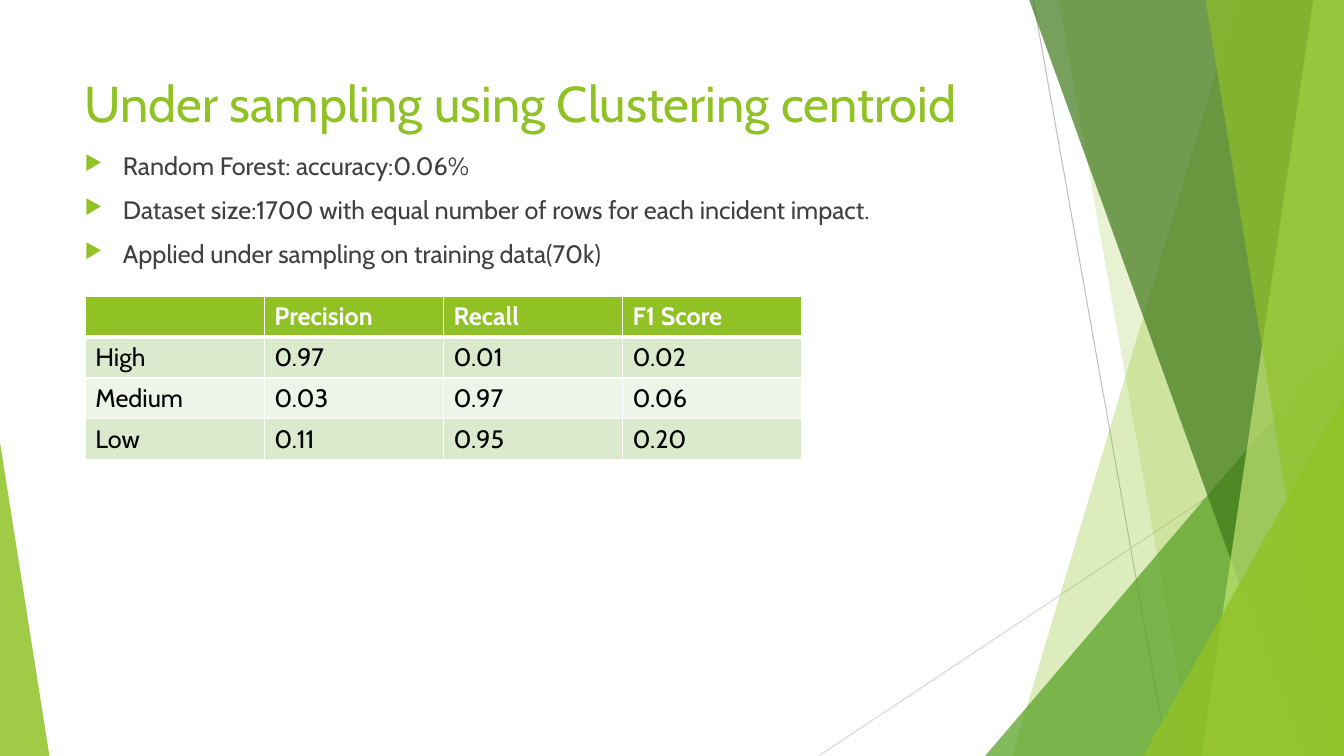
import pptx
import pptx.util
import pptx.dml.color
import pptx.enum.shapes
import pptx.enum.text
import pptx.oxml
import pptx.oxml.ns

GREEN, LEAF, FOREST, LIME = "90C226", "54A021", "3F7819", "C0E474"
WHITE, BLACK, GRAY = "FFFFFF", "000000", "404040"
HEAD, BAND, PALE = GREEN, "DBE9CD", "EEF4E8"


def rgb(color):
    return pptx.dml.color.RGBColor.from_string(color)


def xml(tag, attrs="", inner=""):
    ns = pptx.oxml.ns.nsdecls("a")
    return pptx.oxml.parse_xml(f"<a:{tag} {ns} {attrs}>{inner}</a:{tag}>")


class Deck:
    """Hold the style and current slide; lengths are percent of the slide's size."""

    font = "Cabin"

    def __init__(self):
        self.prs = pptx.Presentation()
        self.prs.slide_width = pptx.util.Inches(13.33)
        self.prs.slide_height = pptx.util.Inches(7.5)
        self.s = self.prs.slides.add_slide(self.prs.slide_layouts[5])

    def x(self, share):
        return round(self.prs.slide_width * share / 100)

    def y(self, share):
        return round(self.prs.slide_height * share / 100)

    def box(self, x, y, w, h):
        return self.x(x), self.y(y), self.x(w), self.y(h)

    def run(self, p, text, size, color, bold=False):
        r = p.add_run()
        r.text = text
        r.font.name, r.font.size = self.font, pptx.util.Pt(size)
        r.font.bold, r.font.color.rgb = bold, rgb(color)

    def line(self, x1, y1, x2, y2, color):
        cxn = self.s.shapes.add_connector(
            pptx.enum.shapes.MSO_CONNECTOR.STRAIGHT,
            self.x(x1), self.y(y1), self.x(x2), self.y(y2))
        cxn.line.color.rgb = rgb(color)
        cxn.line.width = pptx.util.Pt(0.75)
        cxn.element.spPr.append(xml("effectLst"))

    def paint(self, sp, color, opacity):
        sp.shadow.inherit = False
        sp.line.fill.background()
        sp.fill.solid()
        sp.fill.fore_color.rgb = rgb(color)
        clr = sp.element.spPr.find(".//" + pptx.oxml.ns.qn("a:srgbClr"))
        clr.append(xml("alpha", f'val="{opacity * 1000}"'))

    def blade(self, top, bottom, color, opacity):
        fb = self.s.shapes.build_freeform(self.x(top), 0)
        corners = [(100, 0), (100, 100), (bottom, 100)]
        fb.add_line_segments([(self.x(x), self.y(y)) for x, y in corners])
        self.paint(fb.convert_to_shape(), color, opacity)

    def triangle(self, x, y, w, apex, color, opacity):
        sp = self.s.shapes.add_shape(
            pptx.enum.shapes.MSO_SHAPE.ISOSCELES_TRIANGLE,
            *self.box(x, y, w, 100 - y))
        sp.adjustments[0] = apex
        self.paint(sp, color, opacity)

    def title(self, text, *box):
        sp = self.s.shapes.title
        sp.left, sp.top, sp.width, sp.height = self.box(*box)
        sp.element.getparent().append(sp.element)
        tf = sp.text_frame
        tf.word_wrap = True
        tf.auto_size = pptx.enum.text.MSO_AUTO_SIZE.NONE
        tf.vertical_anchor = pptx.enum.text.MSO_ANCHOR.TOP
        p = tf.paragraphs[0]
        p.alignment = pptx.enum.text.PP_ALIGN.LEFT
        self.run(p, text, 36, GREEN)

    def bullets(self, items, *box):
        tf = self.s.shapes.add_textbox(*self.box(*box)).text_frame
        tf.word_wrap = True
        indent = pptx.util.Inches(0.38)
        for i, item in enumerate(items):
            p = tf.add_paragraph() if i else tf.paragraphs[0]
            p.space_before = pptx.util.Pt(10)
            self.run(p, item, 18, GRAY)
            pPr = p._p.get_or_add_pPr()
            pPr.set("marL", str(indent))
            pPr.set("indent", str(-indent))
            pPr.append(xml("buClr", inner=f'<a:srgbClr val="{GREEN}"/>'))
            pPr.append(xml("buSzPct", 'val="80000"'))
            pPr.append(xml("buChar", 'char="▶"'))

    def borders(self, cell, header, below_header):
        tcPr = cell._tc.get_or_add_tcPr()
        thick = {"lnB": header, "lnT": below_header}
        for i, side in enumerate(("lnL", "lnR", "lnT", "lnB")):
            width = pptx.util.Pt(3 if thick.get(side) else 1)
            fill = f'<a:solidFill><a:srgbClr val="{WHITE}"/></a:solidFill>'
            tcPr.insert(i, xml(side, f'w="{width}"', fill))

    def table(self, rows, *box):
        tbl = self.s.shapes.add_table(
            len(rows), len(rows[0]), *self.box(*box)).table
        for i, row in enumerate(rows):
            header = i == 0
            for j, text in enumerate(row):
                cell = tbl.cell(i, j)
                cell.fill.solid()
                fill = HEAD if header else BAND if i % 2 else PALE
                cell.fill.fore_color.rgb = rgb(fill)
                self.borders(cell, header, i == 1)
                if text:
                    self.run(cell.text_frame.paragraphs[0], text, 18,
                             WHITE if header else BLACK, header)


def main():
    d = Deck()
    d.line(76.88, 0, 86.88, 100, "BFBFBF")
    d.line(100, 53.73, 60.92, 100, "D9D9D9")
    d.blade(92.1, 75.3, GREEN, 30)
    d.blade(78.76, 88.75, GREEN, 20)
    d.triangle(73.3, 44.4, 26.7, 1, LEAF, 72)
    d.blade(76.58, 96.83, FOREST, 70)
    d.blade(97.71, 89.4, LIME, 70)
    d.blade(89.7, 98.85, GREEN, 65)
    d.triangle(85.06, 52.4, 14.94, 1, GREEN, 80)
    d.triangle(0, 58.5, 3.68, 0, GREEN, 85)
    d.title("Under sampling using Clustering centroid", 5.56, 8.93, 70.5, 10.27)
    d.bullets(["Random Forest: accuracy:0.06%",
               "Dataset size:1700 with equal number of rows for each incident impact.",
               "Applied under sampling on training data(70k)"],
              5.56, 19.2, 70.5, 68.93)
    d.table([["", "Precision", "Recall", "F1 Score"],
             ["High", "0.97", "0.01", "0.02"],
             ["Medium", "0.03", "0.97", "0.06"],
             ["Low", "0.11", "0.95", "0.20"]],
            6.35, 39.2, 53.3, 21.6)
    d.prs.save("out.pptx")


if __name__ == "__main__":
    main()
